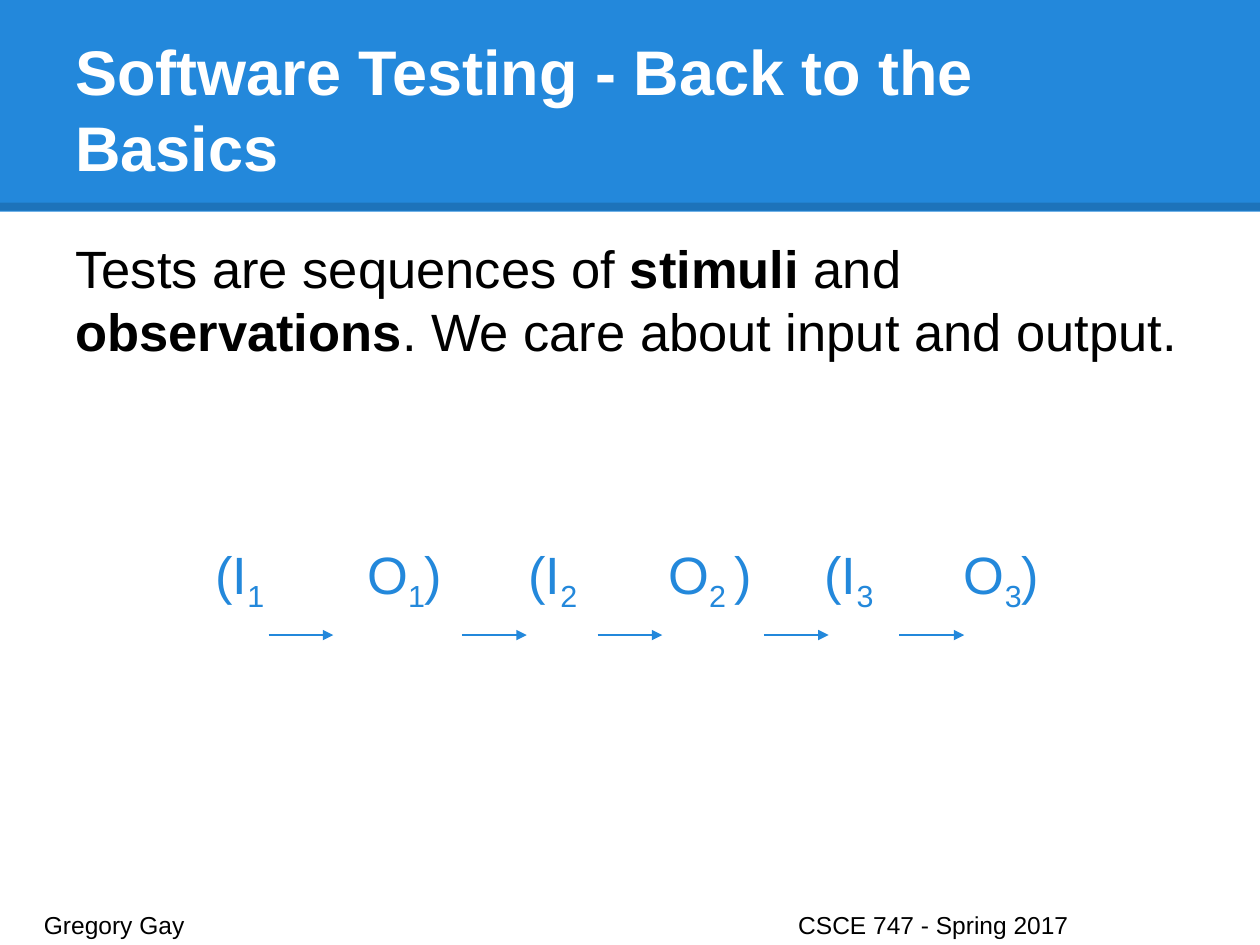
from dataclasses import dataclass

from lxml import etree
from pptx import Presentation
from pptx.dml.color import RGBColor
from pptx.enum import shapes, text
from pptx.oxml import ns
from pptx.util import Pt


@dataclass(frozen=True)
class Theme:
    font: str = "Arial"
    blue: str = "2388DB"
    black: str = "000000"
    white: str = "FFFFFF"
    title: int = 36
    body: int = 30
    footer: int = 14
    inset: float = 7.2


T = Theme()


def add_sub(parent, tag, **attrs):
    return etree.SubElement(parent, ns.qn(tag), {k: str(v) for k, v in attrs.items()})


def add_text_box(s, box, anchor=text.MSO_ANCHOR.TOP):
    tf = s.shapes.add_textbox(*map(Pt, box)).text_frame
    tf.word_wrap = True
    tf.vertical_anchor = anchor
    tf.margin_left = tf.margin_right = tf.margin_top = tf.margin_bottom = Pt(T.inset)
    return tf


def add_run(p, words, size, color, bold=False, subscript=False):
    r = p.add_run()
    r.text = words
    r.font.name, r.font.size, r.font.bold = T.font, Pt(size), bold
    r.font.color.rgb = RGBColor.from_string(color)
    if subscript:
        r.font._element.set("baseline", "-25000")


def set_tabs(p, stops):
    tabs = add_sub(p._p.get_or_add_pPr(), "a:tabLst")
    for stop in stops:
        add_sub(tabs, "a:tab", pos=int(Pt(stop)), algn="l")


def add_line(s, x1, x2, y, color, width):
    line = s.shapes.add_connector(
        shapes.MSO_CONNECTOR.STRAIGHT, Pt(x1), Pt(y), Pt(x2), Pt(y))
    line.line.color.rgb = RGBColor.from_string(color)
    line.line.width = Pt(width)
    add_sub(line._element.spPr, "a:effectLst")
    return line.line._get_or_add_ln()


def add_header(s, box, title):
    x, y, w, h = box
    band = s.shapes.add_shape(shapes.MSO_SHAPE.RECTANGLE, *map(Pt, box))
    band.shadow.inherit = False
    band.fill.solid()
    band.fill.fore_color.rgb = RGBColor.from_string(T.blue)
    band.line.fill.background()
    ln = add_line(s, x, x + w, y + h - 2.9, T.black, 4.5)
    add_sub(ln.find(".//" + ns.qn("a:srgbClr")), "a:alpha", val=15000)
    tf = add_text_box(s, (x + 36, y + 22.4, w - 72, 90), text.MSO_ANCHOR.BOTTOM)
    p = tf.paragraphs[0]
    p.line_spacing = Pt(43.4)
    add_run(p, title, T.title, T.white, bold=True)


def add_body(s, box, statement, steps, stops):
    p = (tf := add_text_box(s, box)).paragraphs[0]
    p.line_spacing = Pt(36)
    for words, bold in statement:
        add_run(p, words, T.body, T.black, bold)
    p = tf.add_paragraph()
    p.line_spacing, p.space_before = Pt(36), Pt(108)
    set_tabs(p, stops)
    for before, index, after in steps:
        add_run(p, "\t" + before, T.body, T.blue)
        add_run(p, index, T.body, T.blue, subscript=True)
        if after:
            add_run(p, after, T.body, T.blue)


def add_arrows(s, box, starts):
    x, y, length, _ = box
    for start in starts:
        ln = add_line(s, x + start, x + start + length, y, T.blue, 1.5)
        add_sub(ln, "a:tailEnd", type="triangle")


def add_footer(s, box, author, course):
    p = add_text_box(s, box).paragraphs[0]
    set_tabs(p, [431])
    add_run(p, f"{author}\t{course}", T.footer, T.black)


def main():
    prs = Presentation()
    prs.slide_width, prs.slide_height = Pt(720), Pt(540)
    s = prs.slides.add_slide(prs.slide_layouts[6])
    add_header(s, (0, 0, 720, 121), "Software Testing - Back to the Basics")
    add_body(
        s, (36, 127.5, 648, 390),
        [("Tests are sequences of ", False), ("stimuli ", True), ("and ", False),
         ("observations", True), (". We care about input and output.", False)],
        [("(I", "1", ""), ("O", "1", ")"), ("(I", "2", ""),
         ("O", "2 ", ")"), ("(I", "3", ""), ("O", "3", ")")],
        [80, 166.8, 258.8, 338.8, 428.1, 507.8])
    add_arrows(s, (36, 362.9, 37, 0), [117.5, 228, 305.5, 400.5, 478])
    add_footer(s, (18, 513, 684.7, 21.6), "Gregory Gay", "CSCE 747 - Spring 2017")
    prs.save("out.pptx")


if __name__ == "__main__":
    main()
